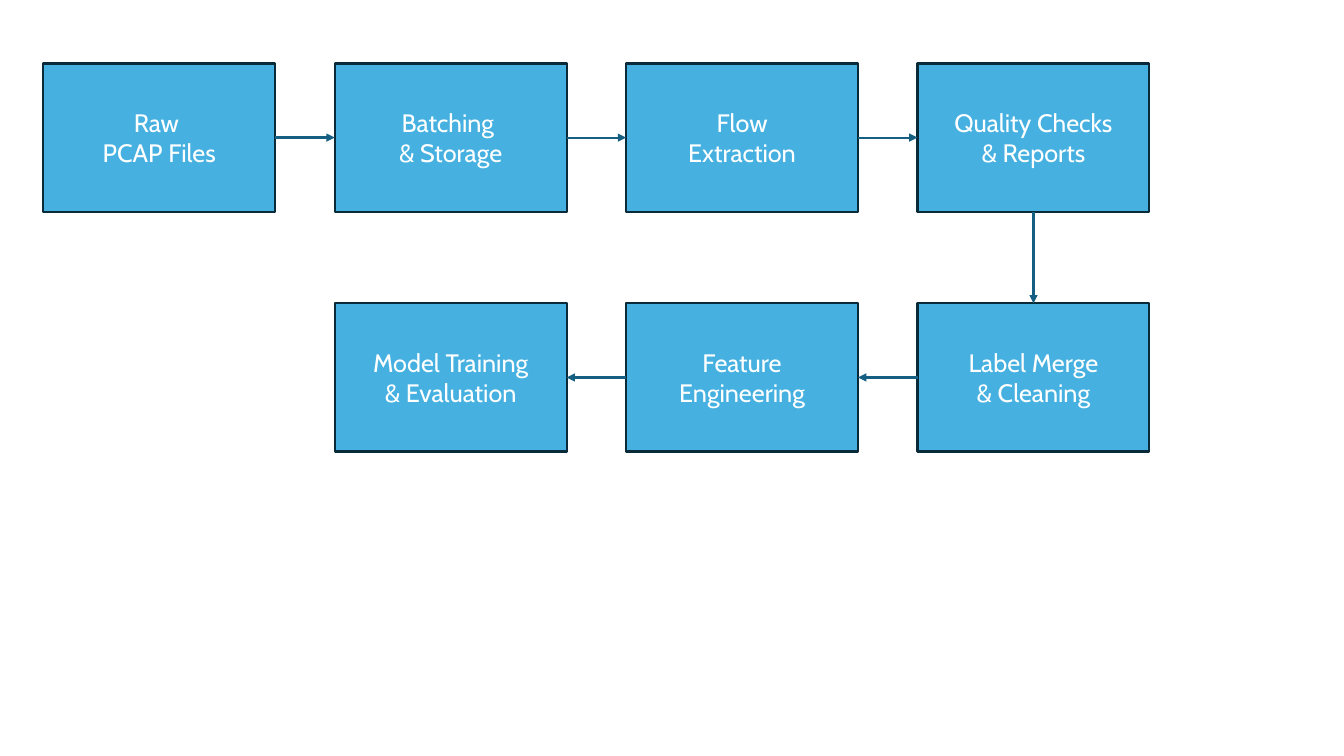
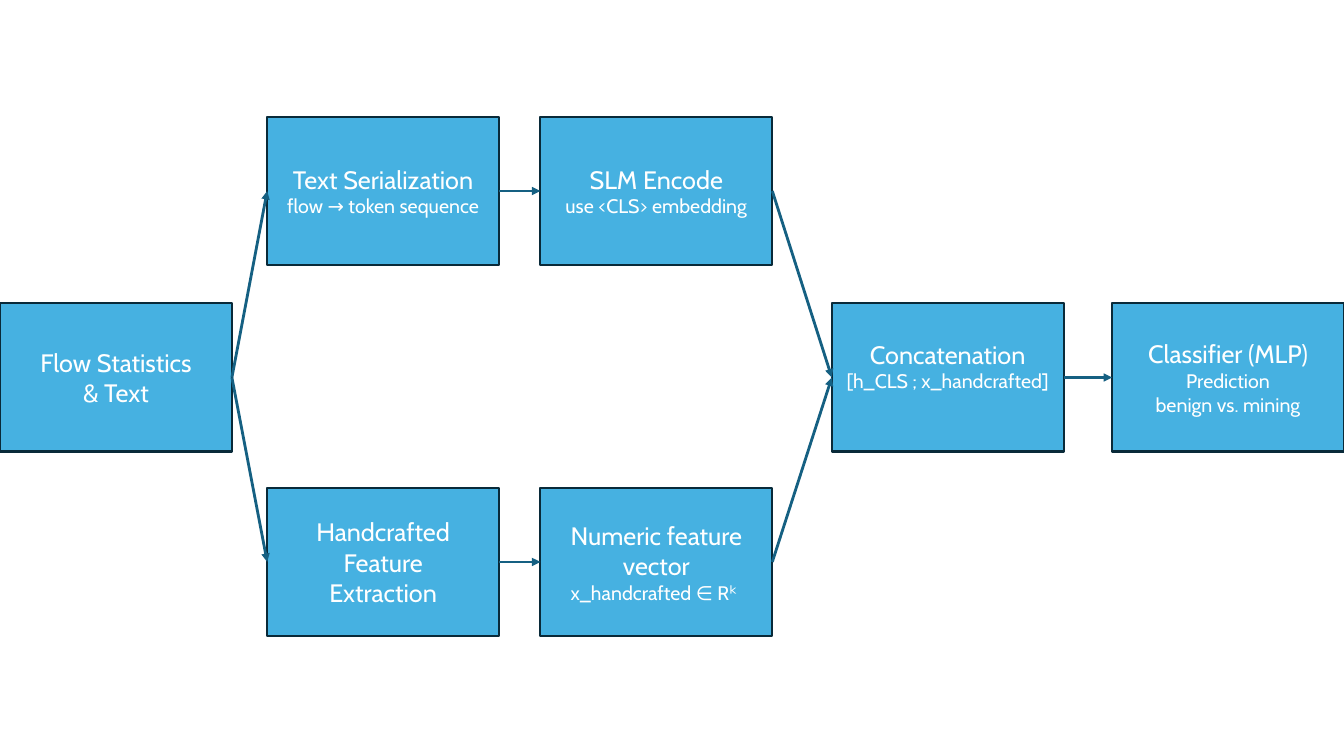
from lxml import etree
from pptx import Presentation
from pptx import util as u
from pptx.dml.color import RGBColor
from pptx.enum import shapes, text
from pptx.oxml.ns import qn

COLORS = {"fill": "46B1E1", "border": "092A39", "arrow": "156082", "text": "FFFFFF"}
FONT = "Cabin"
BOX_WIDTH, BOX_HEIGHT = 2.3, 1.47
MIDDLE_ROW = 3.01
TOP, LEFT, BOTTOM, RIGHT = range(4)  # connection sites of a rectangle


def color(name):
    return RGBColor.from_string(COLORS[name])


def write_text(paragraph, content, *, size=18, font=FONT, ink="text"):
    """Fill a centred paragraph; a newline becomes a line break."""
    paragraph.text = content
    paragraph.alignment = text.PP_ALIGN.CENTER
    for span in paragraph.runs:
        span.font.size = u.Pt(size)
        span.font.name = font
        span.font.color.rgb = color(ink)


def add_box(page, left, top, heading, details=(), bottom_inset=0.05):
    box = page.shapes.add_shape(
        shapes.MSO_SHAPE.RECTANGLE,
        u.Inches(left), u.Inches(top), u.Inches(BOX_WIDTH), u.Inches(BOX_HEIGHT))
    box.shadow.inherit = False
    box.fill.solid()
    box.fill.fore_color.rgb = color("fill")
    box.line.color.rgb = color("border")
    box.line.width = u.Pt(1.5)
    frame = box.text_frame
    frame.word_wrap = True
    frame.vertical_anchor = text.MSO_ANCHOR.MIDDLE
    frame.margin_bottom = u.Inches(bottom_inset)
    write_text(frame.paragraphs[0], heading)
    for detail in details:
        write_text(frame.add_paragraph(), detail, size=14)
    return box


def add_arrow(page, start, end, start_side=RIGHT, end_side=LEFT, width=2):
    arrow = page.shapes.add_connector(shapes.MSO_CONNECTOR.STRAIGHT, 0, 0, 0, 0)
    arrow.begin_connect(start, start_side)
    arrow.end_connect(end, end_side)
    arrow.line.color.rgb = color("arrow")
    arrow.line.width = u.Pt(width)
    outline = arrow.line._get_or_add_ln()
    etree.SubElement(outline, qn("a:tailEnd"), type="triangle")
    etree.SubElement(arrow._element.spPr, qn("a:effectLst"))


def add_page(deck):
    return deck.slides.add_slide(deck.slide_layouts[6])


def build_pipeline(deck):
    page = add_page(deck)
    columns = [0.43 + 2.89 * index for index in range(4)]

    # Steps run right along the top row, then back along the lower row
    top_row = ["Raw \nPCAP Files", "Batching \n& Storage",
               "Flow\nExtraction", "Quality Checks\n& Reports"]
    lower_row = ["Label Merge\n& Cleaning", "Feature\nEngineering",
                 "Model Training\n& Evaluation"]
    forward = [add_box(page, left, 0.63, step)
               for left, step in zip(columns, top_row)]
    back = [add_box(page, left, MIDDLE_ROW, step)
            for left, step in zip(reversed(columns), lower_row)]

    # Arrows, the first one heavier
    for index, (start, end) in enumerate(zip(forward, forward[1:])):
        add_arrow(page, start, end, width=1.5 if index else 2)
    add_arrow(page, forward[-1], back[0], BOTTOM, TOP, width=1.5)
    for start, end in zip(back, back[1:]):
        add_arrow(page, start, end, LEFT, RIGHT, width=1.5)


def build_model(deck):
    page = add_page(deck)
    upper, lower = 1.16, 4.84
    first, second = 2.65, 5.36

    # Input, two branches, then the joined end
    source = add_box(page, 0, MIDDLE_ROW, "Flow Statistics\n& Text")
    serialization = add_box(page, first, upper, "Text Serialization",
                            ["flow → token sequence"])
    encoder = add_box(page, second, upper, "SLM Encode", ["use <CLS> embedding"])
    extraction = add_box(page, first, lower, "Handcrafted Feature\nExtraction")
    vector = add_box(page, second, lower, "Numeric feature vector",
                     ["x_handcrafted ∈ Rᵏ "])
    concatenation = add_box(page, 8.25, MIDDLE_ROW, "Concatenation",
                            ["[h_CLS ; x_handcrafted]"], bottom_inset=0.28)
    classifier = add_box(page, 11.03, MIDDLE_ROW, "Classifier (MLP)",
                         ["Prediction", "benign vs. mining"])

    # Arrows
    for branch in ([serialization, encoder], [extraction, vector]):
        route = [source, *branch, concatenation]
        for start, end in zip(route, route[1:]):
            add_arrow(page, start, end)
    add_arrow(page, concatenation, classifier)


def main():
    deck = Presentation()
    deck.slide_width, deck.slide_height = u.Inches(13.33), u.Inches(7.5)
    build_pipeline(deck)
    build_model(deck)
    deck.save("out.pptx")


if __name__ == "__main__":
    main()
